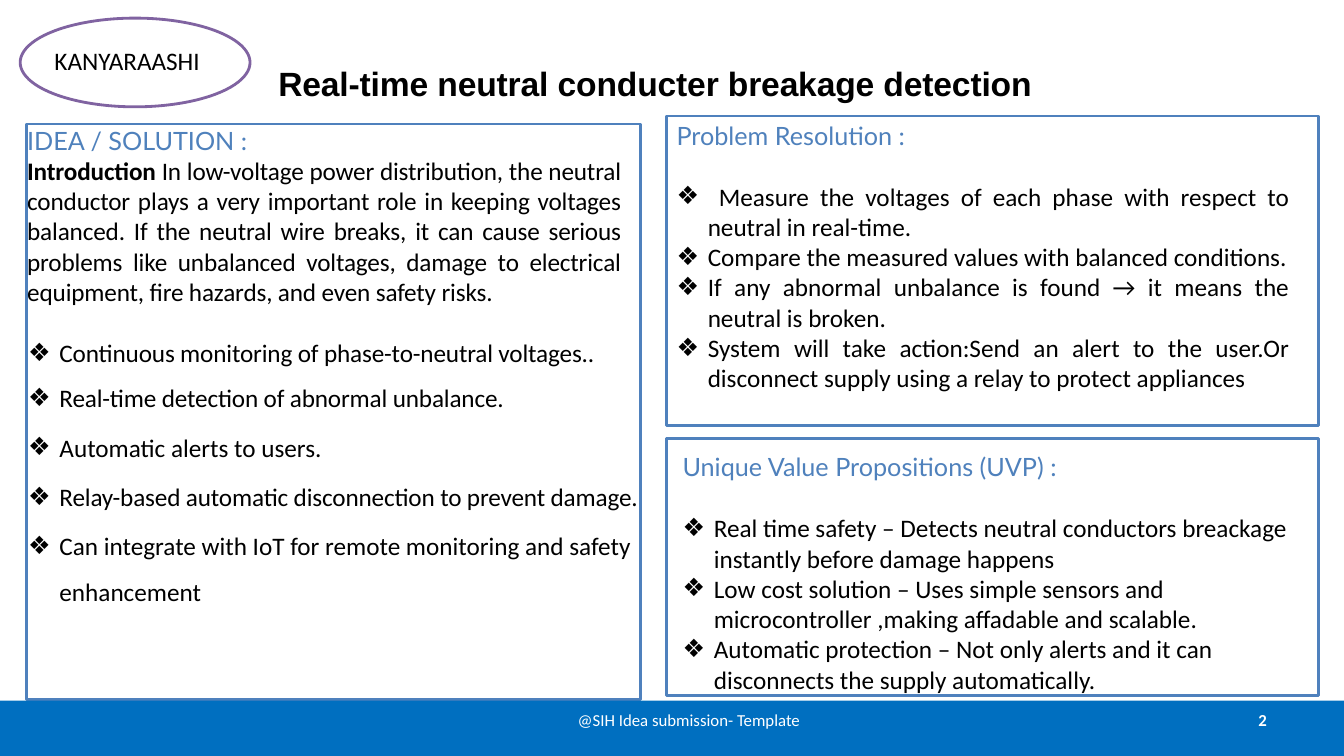
from dataclasses import dataclass

from pptx import Presentation
from pptx.dml.color import RGBColor
from pptx.enum.shapes import MSO_SHAPE
from pptx.enum.text import MSO_ANCHOR, MSO_AUTO_SIZE, PP_ALIGN
from pptx.oxml.ns import qn
from pptx.shapes.base import BaseShape
from pptx.slide import Slide
from pptx.text.text import TextFrame
from pptx.util import Emu, Pt
from lxml import etree

LEFT, JUSTIFY = PP_ALIGN.LEFT, PP_ALIGN.JUSTIFY
RECTANGLE, OVAL = MSO_SHAPE.RECTANGLE, MSO_SHAPE.OVAL
TOP, NO_AUTO_SIZE = MSO_ANCHOR.TOP, MSO_AUTO_SIZE.NONE
COMPARISON_LAYOUT = 4
HANGING = 31  # px between a bullet and its text


@dataclass(frozen=True)
class Theme:
    black: str = "000000"
    white: str = "FFFFFF"
    heading: str = "4F81BC"
    outline: str = "4F81BD"
    oval: str = "8063A1"
    bar: str = "006FC0"
    title_font: str = "Arial"
    heading_font: str = "Lato"
    body_font: str = "Calibri"
    title_size: int = 24
    body_size: int = 18
    footer_size: int = 12
    line_width: int = 2


THEME = Theme()


@dataclass(frozen=True)
class Box:
    left: int
    top: int
    width: int
    height: int


@dataclass(frozen=True)
class Run:
    text: str
    font: str = THEME.body_font
    size: int = THEME.body_size
    color: str = THEME.black
    bold: bool = False
    spacing: float = 0  # points between letters


@dataclass(frozen=True)
class Item:
    text: str
    before: float = 0
    line: float | None = None
    spacing: float = 0


@dataclass(frozen=True)
class Panel:
    placeholder: int
    box: Box
    heading: str
    heading_margin: int
    inset: int
    items: list[Item]
    item_margin: int
    intro: tuple[str, str] | None = None
    align: PP_ALIGN = LEFT
    right_margin: int = 0


PANELS = [
    Panel(2, Box(26, 123, 609, 571), "IDEA / SOLUTION ", 1, 1, [
        Item("Continuous monitoring of phase-to-neutral voltages..", 22, spacing=-0.1),
        Item("Real-time detection of abnormal unbalance.", 10.8, spacing=-0.1),
        Item("Automatic alerts to users.", 2.9, 32.4),
        Item("Relay-based automatic disconnection to prevent damage.", 2.9, 32.4, -0.1),
        Item("Can integrate with IoT for remote monitoring and safety enhancement", 2.9, 32.4),
    ], 33, intro=(
        "Introduction",
        " In low-voltage power distribution, the neutral conductor plays a very important "
        "role in keeping voltages balanced. If the neutral wire breaks, it can cause serious "
        "problems like unbalanced voltages, damage to electrical equipment, fire hazards, "
        "and even safety risks."), right_margin=19),
    Panel(4, Box(661, 115, 647, 307), "Problem Resolution ", 10, 4, [
        Item(" Measure the voltages of each phase with respect to neutral in real-time.", 22),
        Item("Compare the measured values with balanced conditions."),
        Item("If any abnormal unbalance is found → it means the neutral is broken."),
        Item("System will take action:Send an alert to the user.Or disconnect supply "
             "using a relay to protect appliances"),
    ], 41, align=JUSTIFY, right_margin=29),
    Panel(3, Box(661, 435, 647, 255), "Unique Value Propositions (UVP) ", 16, 13, [
        Item("Real time safety – Detects neutral conductors breackage instantly before "
             "damage happens", 22),
        Item("Low cost solution – Uses simple sensors and microcontroller ,making "
             "affadable and scalable."),
        Item("Automatic protection – Not only alerts and it can disconnects the supply "
             "automatically."),
    ], 47),
]


def px(length: int) -> Emu:
    """100 px make one inch."""
    return Emu(length * 9144)


def place(shape: BaseShape, box: Box) -> None:
    shape.left, shape.top = px(box.left), px(box.top)
    shape.width, shape.height = px(box.width), px(box.height)


def prepare(frame: TextFrame, inset: int = 0) -> TextFrame:
    frame.word_wrap = True
    frame.auto_size = NO_AUTO_SIZE
    frame.vertical_anchor = TOP
    frame.margin_left = frame.margin_right = frame.margin_bottom = 0
    frame.margin_top = px(inset)
    return frame


def add_text(frame: TextFrame, *runs: Run, margin: int = 1, right: int = 0,
             bullet: bool = False, align: PP_ALIGN = LEFT, before: float = 0,
             line: float | None = None) -> None:
    """Fill the empty first paragraph, or append a new one."""
    paragraph = frame.paragraphs[0]
    if paragraph.runs:
        paragraph = frame.add_paragraph()
    properties = paragraph._p.get_or_add_pPr()
    properties.set("marL", str(px(margin)))
    properties.set("marR", str(px(right)))
    properties.set("indent", str(px(-HANGING if bullet else 0)))
    marker = etree.SubElement(properties, qn("a:buChar" if bullet else "a:buNone"))
    if bullet:
        marker.set("char", "❖")
    paragraph.alignment = align
    paragraph.space_before = Pt(before)
    if line:
        paragraph.line_spacing = Pt(line)
    for part in runs:
        run = paragraph.add_run()
        run.text = part.text
        run.font.name, run.font.size = part.font, Pt(part.size)
        run.font.bold = part.bold
        run.font.color.rgb = RGBColor.from_string(part.color)
        run.font._element.set("spc", str(round(part.spacing * 100)))


def add_label(slide: Slide, box: Box, run: Run, margin: int = 1,
              line: float | None = None) -> None:
    label = slide.shapes.add_textbox(0, 0, 0, 0)
    place(label, box)
    add_text(prepare(label.text_frame), run, margin=margin, line=line)


def set_outline(shape: BaseShape, color: str) -> None:
    shape.line.color.rgb = RGBColor.from_string(color)
    shape.line.width = Pt(THEME.line_width)


def add_panel(slide: Slide, panel: Panel) -> None:
    shape = slide.placeholders[panel.placeholder]
    place(shape, panel.box)
    set_outline(shape, THEME.outline)
    frame = prepare(shape.text_frame, panel.inset)
    heading = dict(font=THEME.heading_font, color=THEME.heading)
    add_text(frame, Run(panel.heading, **heading), Run(":", spacing=-0.5, **heading),
             margin=panel.heading_margin)
    if panel.intro:
        lead, body = panel.intro
        add_text(frame, Run(lead, bold=True, spacing=-0.1), Run(body, spacing=-0.1),
                 align=JUSTIFY, right=panel.right_margin)
    for item in panel.items:
        add_text(frame, Run(item.text, spacing=item.spacing), margin=panel.item_margin,
                 right=0 if panel.intro else panel.right_margin, bullet=True,
                 align=panel.align, before=item.before, line=item.line)


def main() -> None:
    presentation = Presentation()
    presentation.slide_width, presentation.slide_height = px(1333), px(750)
    slide = presentation.slides.add_slide(presentation.slide_layouts[COMPARISON_LAYOUT])

    # Title
    title = slide.shapes.title
    place(title, Box(275, 61, 925, 42))
    add_text(prepare(title.text_frame, 1),
             Run("Real-time neutral conducter breakage detection", THEME.title_font,
                 THEME.title_size, bold=True, spacing=-0.1))

    # Panels, and the one placeholder that stays empty
    for panel in PANELS:
        add_panel(slide, panel)
    unused = slide.placeholders[1]._element
    unused.getparent().remove(unused)

    # Team name in an oval
    oval = slide.shapes.add_shape(OVAL, 0, 0, 0, 0)
    place(oval, Box(20, 18, 228, 88))
    oval.shadow.inherit = False
    oval.fill.background()
    set_outline(oval, THEME.oval)
    add_label(slide, Box(42, 45, 192, 32), Run("KANYARAASHI"), margin=12)

    # Footer
    bar = slide.shapes.add_shape(RECTANGLE, 0, 0, 0, 0)
    place(bar, Box(0, 695, 1333, 55))
    bar.shadow.inherit = False
    bar.fill.solid()
    bar.fill.fore_color.rgb = RGBColor.from_string(THEME.bar)
    bar.line.fill.background()
    footer = dict(size=THEME.footer_size, color=THEME.white)
    add_label(slide, Box(572, 707, 224, 20),
              Run("@SIH Idea submission- Template", **footer), line=12.4)
    add_label(slide, Box(1244, 707, 18, 20), Run("2", bold=True, **footer),
              margin=4, line=12.4)

    presentation.save("out.pptx")


if __name__ == "__main__":
    main()
